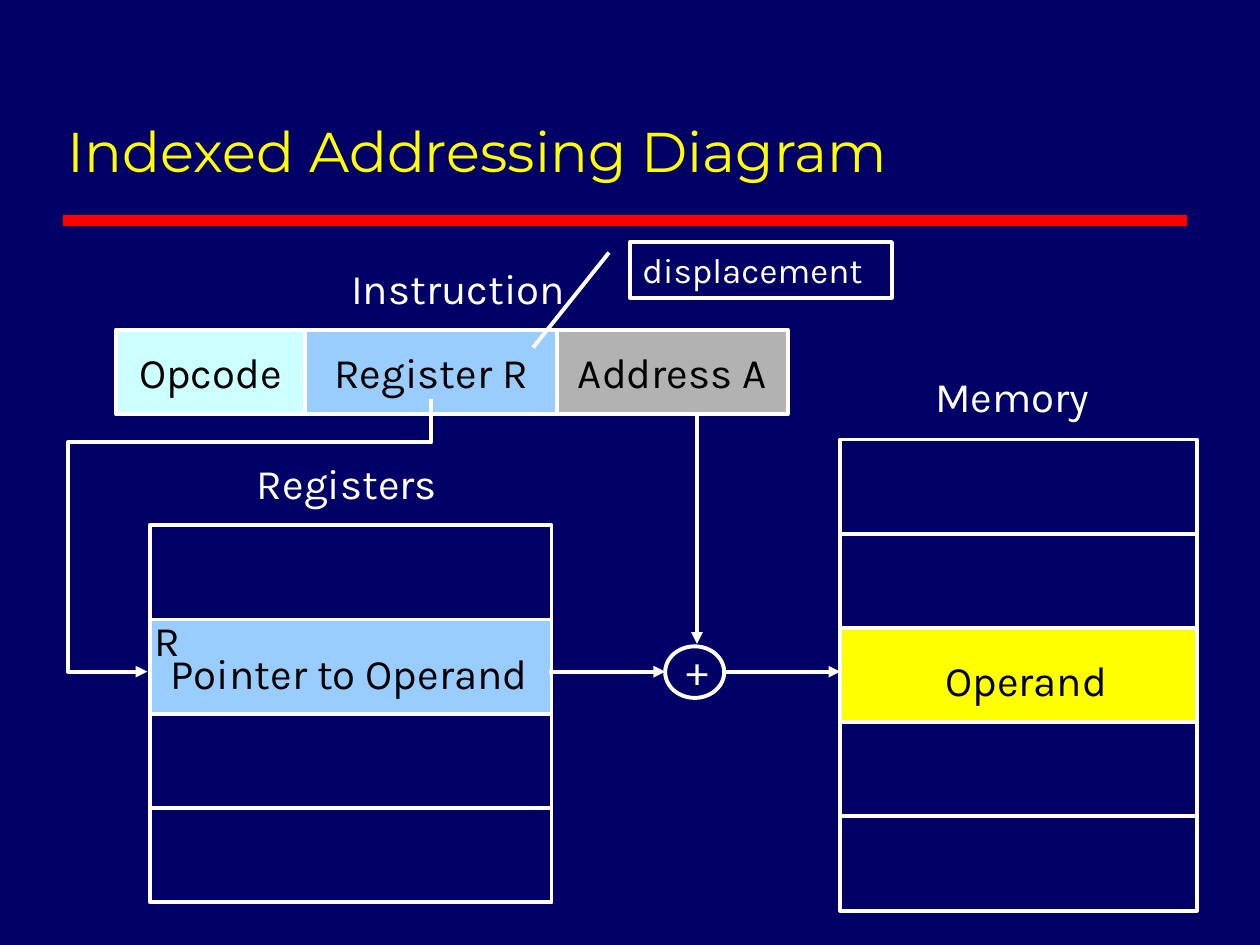
from lxml import etree
from pptx import Presentation
from pptx.dml.color import RGBColor
from pptx.enum.shapes import MSO_CONNECTOR, MSO_SHAPE
from pptx.enum.text import MSO_ANCHOR, MSO_AUTO_SIZE, PP_ALIGN
from pptx.oxml.ns import qn
from pptx.util import Cm, Pt

NAVY = RGBColor(0x00, 0x00, 0x66)
RED = RGBColor(0xFF, 0x00, 0x00)
YELLOW = RGBColor(0xFF, 0xFF, 0x00)
WHITE = RGBColor(0xFF, 0xFF, 0xFF)
BLACK = RGBColor(0x00, 0x00, 0x00)
GRAY = RGBColor(0xB2, 0xB2, 0xB2)
BLUE = RGBColor(0x99, 0xCC, 0xFF)
CYAN = RGBColor(0xCC, 0xFF, 0xFF)

STRAIGHT = MSO_CONNECTOR.STRAIGHT
RECTANGLE, OVAL = MSO_SHAPE.RECTANGLE, MSO_SHAPE.OVAL
CALLOUT = MSO_SHAPE.LINE_CALLOUT_1
LEFT, CENTER = PP_ALIGN.LEFT, PP_ALIGN.CENTER
TOP, BOTTOM = MSO_ANCHOR.TOP, MSO_ANCHOR.BOTTOM
FIT_SHAPE = MSO_AUTO_SIZE.SHAPE_TO_FIT_TEXT

BODY_FONT, TITLE_FONT = "Karla", "Montserrat"
LINE_WIDTH = 2.25
LABEL_HEIGHT = 1.27
CELL_HEIGHT = 1.9


def write(frame, text, size, color, align=CENTER, font=BODY_FONT):
    para = frame.paragraphs[0]
    para.alignment = align
    span = para.add_run()
    span.text = text
    span.font.name = font
    span.font.size = Pt(size)
    span.font.color.rgb = color


def add_label(page, text, left, top, width, color=WHITE, wrap=False):
    box = page.shapes.add_textbox(Cm(left), Cm(top), Cm(width), Cm(LABEL_HEIGHT))
    box.text_frame.word_wrap = wrap
    box.text_frame.auto_size = FIT_SHAPE
    write(box.text_frame, text, 24, color)


def style_outline(shape, fill=None):
    """Give a shape a white outline and a solid fill, or none."""
    shape.shadow.inherit = False
    if fill is None:
        shape.fill.background()
    else:
        shape.fill.solid()
        shape.fill.fore_color.rgb = fill
    shape.line.color.rgb = WHITE
    shape.line.width = Pt(LINE_WIDTH)


def add_outlined(page, kind, left, top, width, height, fill=None):
    shape = page.shapes.add_shape(kind, Cm(left), Cm(top), Cm(width), Cm(height))
    style_outline(shape, fill)
    return shape


def add_arrowhead(shape):
    line = shape.line._get_or_add_ln()
    etree.SubElement(line, qn("a:tailEnd"), type="triangle")


def add_line(page, start, end, color=WHITE, width=LINE_WIDTH):
    line = page.shapes.add_connector(STRAIGHT, *map(Cm, start + end))
    line.line.color.rgb = color
    line.line.width = Pt(width)
    etree.SubElement(line._element.spPr, qn("a:effectLst"))
    return line


def add_header(page, left, top, width, height):
    box = page.shapes.add_textbox(Cm(left), Cm(top), Cm(width), Cm(height))
    frame = box.text_frame
    frame.word_wrap = True
    frame.vertical_anchor = BOTTOM
    write(frame, "Indexed Addressing Diagram", 32, YELLOW, LEFT, TITLE_FONT)
    rule_top = top + height + 0.63
    add_line(page, (left + 0.15, rule_top), (left + width + 0.03, rule_top), RED, 6)


def add_instruction(page, left, top, height):
    add_label(page, "Instruction", left + 4.47, top - 1.49, 4.85)
    fields = [("Opcode", 3.81, CYAN), ("Register R", 5.08, BLUE), ("Address A", 4.65, GRAY)]
    for text, width, fill in fields:
        add_outlined(page, RECTANGLE, left, top, width, height, fill)
        add_label(page, text, left, top + (height - LABEL_HEIGHT) / 2, width, BLACK)
        left += width


def add_cells(page, left, top, width, fills):
    for row, fill in enumerate(fills):
        add_outlined(page, RECTANGLE, left, top + row * CELL_HEIGHT, width, CELL_HEIGHT, fill)


def add_memory(page, left, top, width):
    add_cells(page, left, top, width, [None, None, YELLOW, None, None])
    add_label(page, "Memory", left + 1.55, top - 1.52, 3.84)
    add_label(page, "Operand", left + 1.73, top + 4.2, 4.04, BLACK)


def add_registers(page, left, top, width):
    add_cells(page, left, top, width, [None, BLUE, None, None])
    add_label(page, "Registers", left + 1.88, top - 1.5, 4.19)
    add_label(page, "Pointer to Operand", left - 0.07, top + 2.34, 8.18, BLACK)
    add_label(page, "R", left - 0.28, top + 1.68, 1.27, BLACK, wrap=True)


def add_adder(page, left, top, width, height):
    add_outlined(page, OVAL, left, top, width, height)
    add_label(page, "+", left + 0.15, top - 0.18, 0.99)


def add_register_path(page, points):
    """Draw the bent arrow from the register field to the register file."""
    corners = [(Cm(x), Cm(y)) for x, y in points]
    builder = page.shapes.build_freeform(*corners[0], scale=1.0)
    builder.add_line_segments(corners[1:], close=False)
    bent = builder.convert_to_shape()
    style_outline(bent)
    add_arrowhead(bent)


def add_displacement(page, left, top, width, height):
    note = add_outlined(page, CALLOUT, left, top, width, height)
    for index, value in enumerate((0.19, -0.08, 1.9, -0.37)):
        note.adjustments[index] = value
    frame = note.text_frame
    frame.word_wrap = True
    frame.auto_size = FIT_SHAPE
    frame.vertical_anchor = TOP
    write(frame, "displacement", 20, WHITE, LEFT)


def main():
    deck = Presentation()
    deck.slide_width, deck.slide_height = Cm(25.4), Cm(19.05)
    page = deck.slides.add_slide(deck.slide_layouts[6])
    page.background.fill.solid()
    page.background.fill.fore_color.rgb = NAVY

    add_header(page, 1.12, 0.64, 22.78, 3.18)
    add_instruction(page, 2.34, 6.65, 1.7)
    add_memory(page, 16.94, 8.86, 7.19)
    add_registers(page, 3.02, 10.59, 8.1)
    add_adder(page, 13.41, 13.03, 1.19, 1.04)

    flow = 13.54
    arrows = [
        ((14.05, 8.36), (14.05, 12.98)),
        ((11.07, flow), (13.41, flow)),
        ((14.6, flow), (16.94, flow)),
    ]
    for start, end in arrows:
        add_arrowhead(add_line(page, start, end))
    add_register_path(
        page, [(8.69, 8.05), (8.69, 8.92), (1.37, 8.92), (1.37, flow), (2.97, flow)]
    )
    add_displacement(page, 12.7, 4.88, 5.28, 1.12)
    deck.save("out.pptx")


if __name__ == "__main__":
    main()
